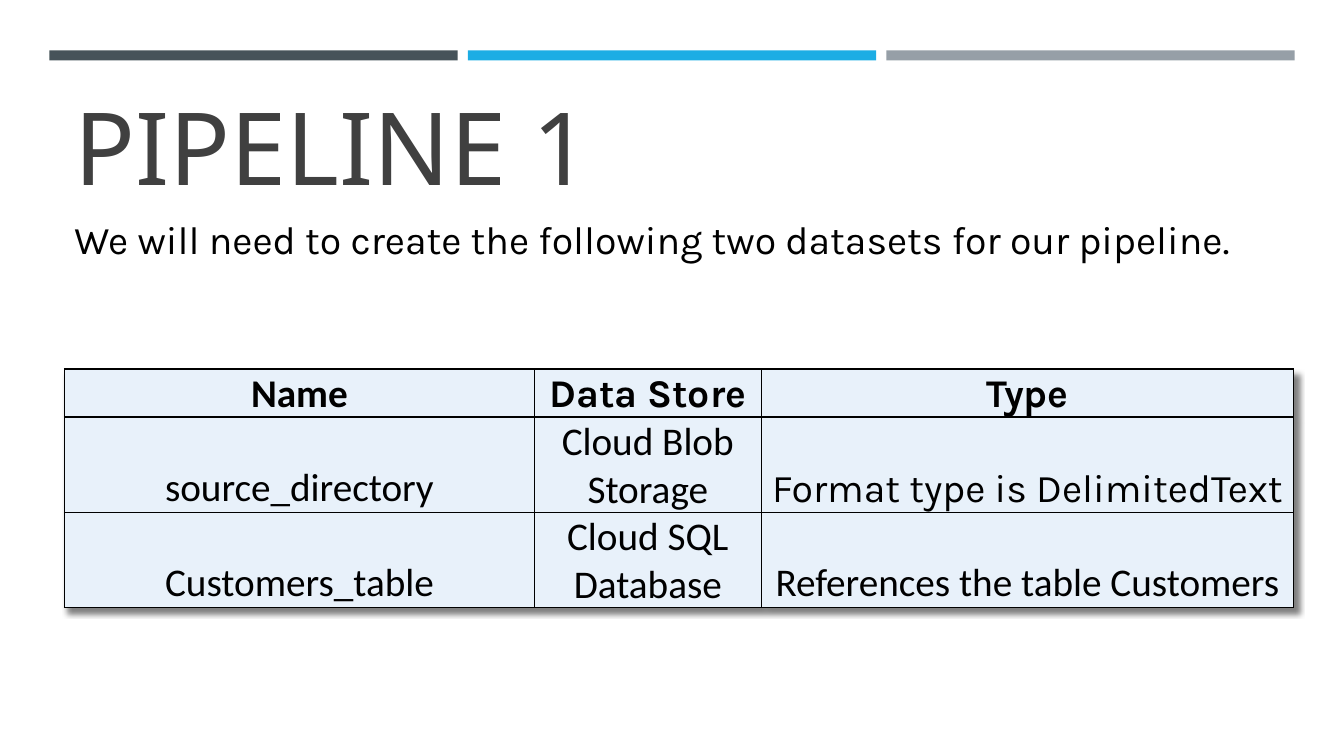
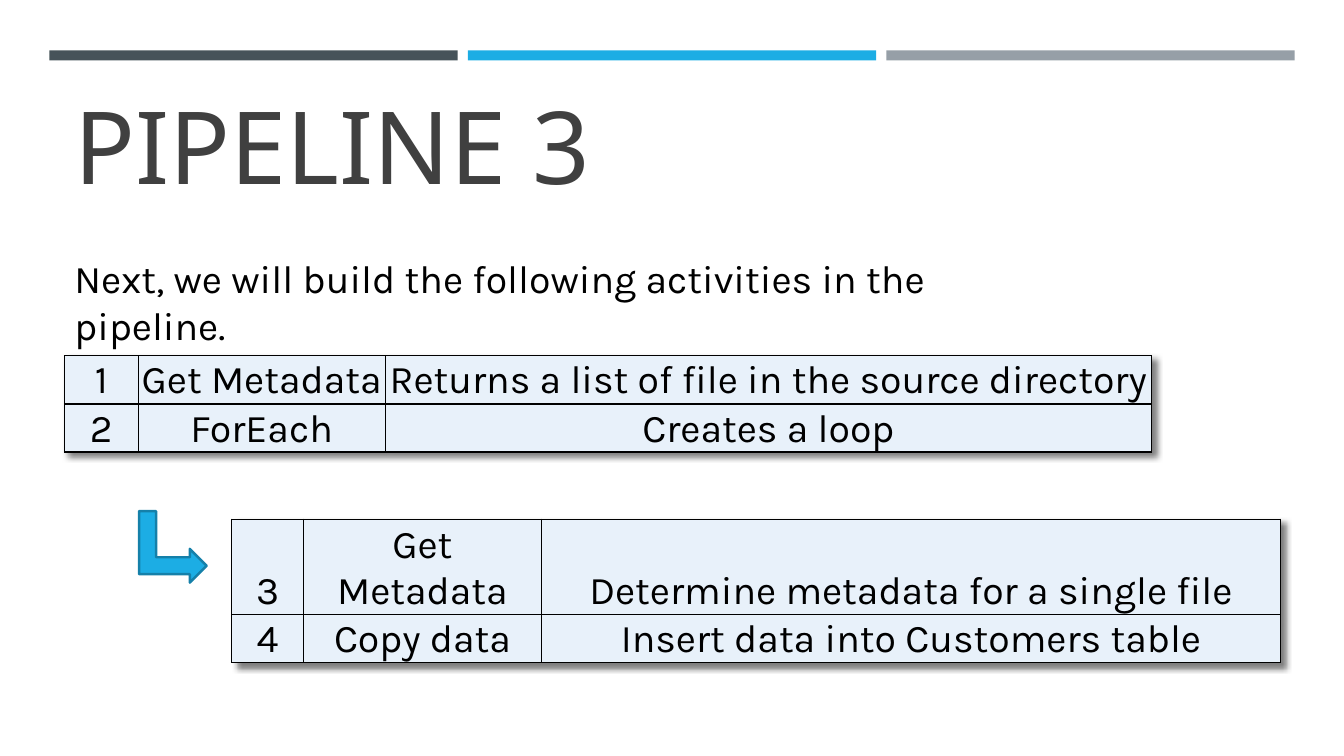
from lxml import etree
from pptx import Presentation
from pptx.dml.color import RGBColor
from pptx.enum.shapes import MSO_SHAPE
from pptx.enum.text import MSO_ANCHOR, MSO_AUTO_SIZE, PP_ALIGN
from pptx.oxml import parse_xml
from pptx.oxml.ns import nsdecls
from pptx.util import Inches, Pt

BAR, BENT_ARROW = MSO_SHAPE.RECTANGLE, MSO_SHAPE.BENT_UP_ARROW
BOTTOM = MSO_ANCHOR.BOTTOM
LEFT, CENTER = PP_ALIGN.LEFT, PP_ALIGN.CENTER
NO_FIT = MSO_AUTO_SIZE.NONE

SLATE = RGBColor(0x46, 0x53, 0x59)
BLUE = RGBColor(0x1C, 0xAD, 0xE4)
DARK_BLUE = RGBColor(0x15, 0x80, 0xA9)
GREY = RGBColor(0x96, 0x9F, 0xA7)
CHARCOAL = RGBColor(0x40, 0x40, 0x40)
BLACK = RGBColor(0, 0, 0)
PALE_BLUE = RGBColor(0xE8, 0xF1, 0xFA)

TITLE_FONT, BODY_FONT, PLAIN_FONT = "Noto Sans", "Karla", "Calibri"
MARGIN = 0.64
LINE_HEIGHT = 0.47
TITLE_ONLY = 5

TABLE_SHADOW = f"""<a:effectLst {nsdecls("a")}>
  <a:outerShdw blurRad="50800" dist="50800" dir="2700000" algn="tl" rotWithShape="0">
    <a:srgbClr val="000000"><a:alpha val="50000"/></a:srgbClr>
  </a:outerShdw>
</a:effectLst>"""


def write(frame, text, font=BODY_FONT, size=28, color=BLACK, bold=False, align=LEFT):
    """Put one formatted paragraph in a text frame."""
    paragraph = frame.paragraphs[0]
    paragraph.alignment = align
    run = paragraph.add_run()
    run.text = text
    run.font.name = font
    run.font.size = Pt(size)
    run.font.bold = bold
    run.font.color.rgb = color


def draw_borders(cell):
    """Give a cell a thin black line on all four sides."""
    properties = cell._tc.get_or_add_tcPr()
    for side in ("lnL", "lnR", "lnT", "lnB"):
        line = parse_xml(
            f'<a:{side} {nsdecls("a")} w="{Pt(1)}"><a:solidFill>'
            f'<a:srgbClr val="{BLACK}"/></a:solidFill></a:{side}>')
        properties.append(line)


class Deck:
    """The presentation, its shared style and the current slide."""

    def __init__(self):
        """Start a wide presentation with bands on its layout."""
        self.presentation = Presentation()
        self.presentation.slide_width = Inches(13.33)
        self.presentation.slide_height = Inches(7.5)
        self.layout = self.presentation.slide_layouts[TITLE_ONLY]
        self.slide = None

    def start_slide(self, title, top):
        """Add a slide with its title; the first one also sets up the bands."""
        first = self.slide is None
        self.slide = self.presentation.slides.add_slide(self.layout)
        if first:
            self.add_layout_bands()
        heading = self.slide.shapes.title
        heading.left, heading.top = Inches(MARGIN), Inches(top)
        heading.width, heading.height = Inches(12.06), Inches(1.31)
        frame = heading.text_frame
        frame.auto_size = NO_FIT
        frame.vertical_anchor = BOTTOM
        write(frame, title, font=TITLE_FONT, size=72, color=CHARCOAL)

    def add_layout_bands(self):
        """Draw the three top bands and move them to the shared layout."""
        for column, color in enumerate((SLATE, BLUE, GREY)):
            band = self.add_shape(BAR, 0.49 + 4.15 * column, 0.5, 4.05, 0.1, color)
            self.layout.shapes.element.append(band.element)

    def add_shape(self, kind, left, top, width, height, fill, line=None):
        """Add a flat preset shape, outlined when a line colour is given."""
        shape = self.slide.shapes.add_shape(
            kind, Inches(left), Inches(top), Inches(width), Inches(height))
        shape.shadow.inherit = False
        shape.fill.solid()
        shape.fill.fore_color.rgb = fill
        if line is None:
            shape.line.fill.background()
        else:
            shape.line.color.rgb = line
            shape.line.width = Pt(1.75)
        return shape

    def add_text(self, text, top, width):
        """Add a wrapped line of introduction at the left margin."""
        box = self.slide.shapes.add_textbox(
            Inches(MARGIN), Inches(top), Inches(width), Inches(0.57))
        box.text_frame.word_wrap = True
        write(box.text_frame, text)

    def add_table(self, rows, left, top, widths, lines, fonts=None, header=False):
        """Add a bordered table; lines holds the text lines in each row."""
        heights = [LINE_HEIGHT * count for count in lines]
        table = self.slide.shapes.add_table(
            len(rows), len(widths), Inches(left), Inches(top),
            Inches(sum(widths)), Inches(sum(heights))).table
        table.first_row = table.horz_banding = False
        table._tbl.tblPr.insert(0, parse_xml(TABLE_SHADOW))
        for column, width in zip(table.columns, widths):
            column.width = Inches(width)
        for r, values in enumerate(rows):
            table.rows[r].height = Inches(heights[r])
            for c, value in enumerate(values):
                cell = table.cell(r, c)
                cell.margin_left = cell.margin_right = cell.margin_top = Inches(0.01)
                cell.margin_bottom = 0
                cell.vertical_anchor = BOTTOM
                draw_borders(cell)
                cell.fill.solid()
                cell.fill.fore_color.rgb = PALE_BLUE
                write(cell.text_frame, value, align=CENTER, bold=header and r == 0,
                      font=fonts[r][c] if fonts else BODY_FONT)


def build_datasets(deck):
    """Slide listing the datasets of the first pipeline."""
    deck.start_slide("PIPELINE 1", 0.78)
    deck.add_text("We will need to create the following two datasets for our pipeline.",
                  2.09, 12.45)
    datasets = [
        ("Name", "Data Store", "Type"),
        ("source_directory", "Cloud Blob Storage", "Format type is DelimitedText"),
        ("Customers_table", "Cloud SQL Database", "References the table Customers"),
    ]
    fonts = [
        (PLAIN_FONT, BODY_FONT, BODY_FONT),
        (PLAIN_FONT, PLAIN_FONT, BODY_FONT),
        (PLAIN_FONT, PLAIN_FONT, PLAIN_FONT),
    ]
    deck.add_table(datasets, MARGIN, 3.66, (4.66, 2.25, 5.28), (1, 2, 2),
                   fonts=fonts, header=True)


def build_activities(deck):
    """Slide listing the activities and the steps inside the loop."""
    deck.start_slide("PIPELINE 3", 0.77)
    deck.add_text("Next, we will build the following activities in the pipeline.",
                  2.47, 9.39)
    activities = [
        ("1", "Get Metadata", "Returns a list of file in the source directory"),
        ("2", "ForEach", "Creates a loop"),
    ]
    deck.add_table(activities, MARGIN, 3.53, (0.73, 2.45, 7.6), (1, 1))
    loop_steps = [
        ("3", "Get Metadata", "Determine metadata for a single file"),
        ("4", "Copy data", "Insert data into Customers table"),
    ]
    deck.add_table(loop_steps, 2.3, 5.15, (0.71, 2.36, 7.33), (2, 1))
    loop_arrow = deck.add_shape(BENT_ARROW, 1.36, 5.09, 0.71, 0.67, BLUE, DARK_BLUE)
    loop_arrow.rotation = 90


deck = Deck()
build_datasets(deck)
build_activities(deck)
deck.presentation.save("out.pptx")
